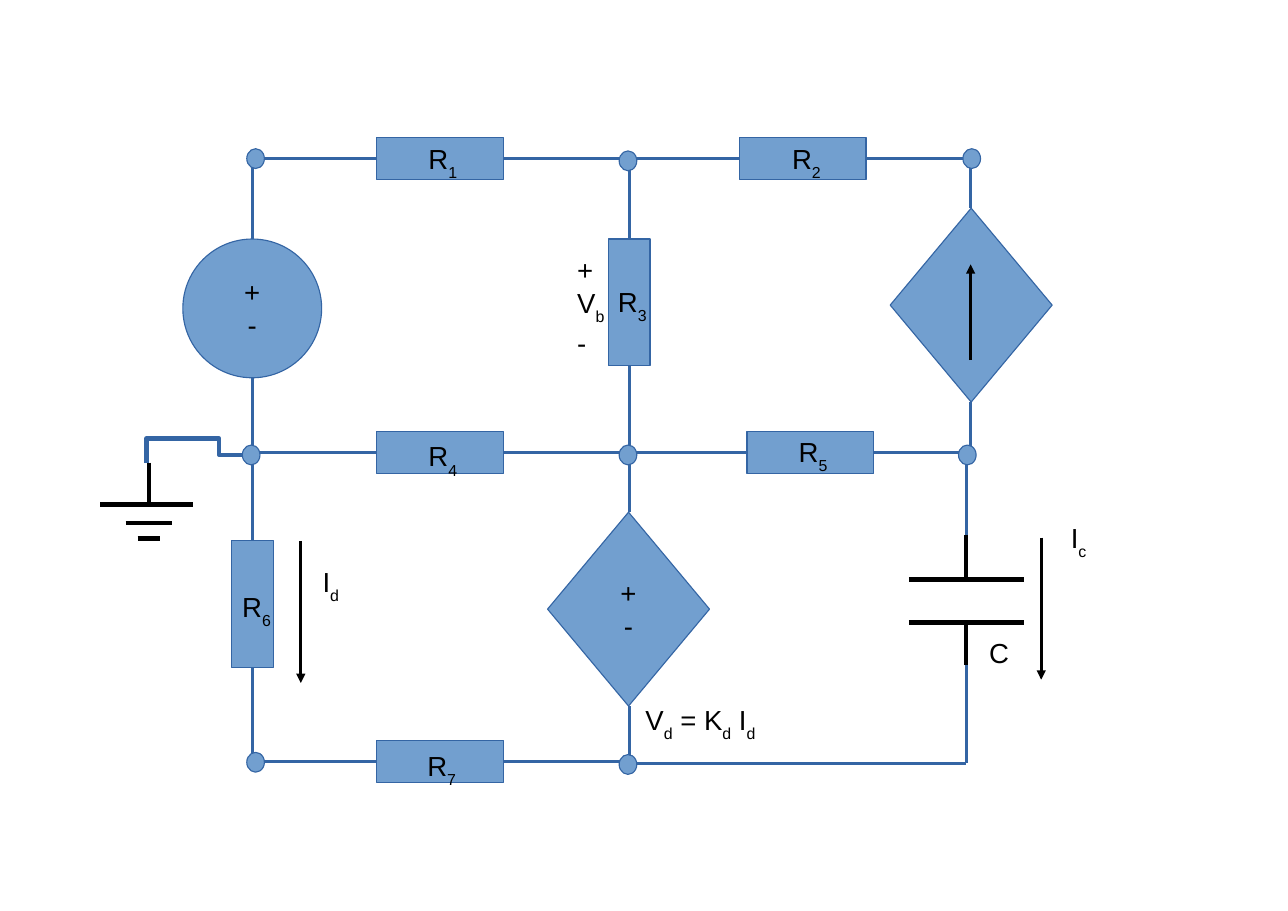
from lxml.etree import SubElement
from pptx import Presentation
from pptx.dml.color import RGBColor
from pptx.enum.shapes import MSO_CONNECTOR, MSO_SHAPE
from pptx.enum.text import MSO_ANCHOR, PP_ALIGN
from pptx.oxml.ns import qn
from pptx.util import Inches, Pt

COLORS = {"fill": "729FCF", "wire": "3465A4", "black": "000000"}
HAIRLINE, THICK = Pt(0), Pt(2.83)

prs = Presentation()
prs.slide_width, prs.slide_height = Inches(11.69), Inches(8.27)
s = prs.slides.add_slide(prs.slide_layouts[6])


def add_line(x1, y1, x2, y2, color="black", width=HAIRLINE, arrow=False):
    """Draw a straight line, with an optional arrowhead at its end."""
    c = s.shapes.add_connector(MSO_CONNECTOR.STRAIGHT, Inches(x1), Inches(y1), Inches(x2), Inches(y2))
    c.line.color.rgb = RGBColor.from_string(COLORS[color])
    c.line.width = width
    if arrow:
        SubElement(c.line._get_or_add_ln(), qn("a:tailEnd"), type="triangle")
    SubElement(c._element.spPr, qn("a:effectLst"))


def add_text(tf, lines, align):
    """Write lines of text; every second piece of a line is a subscript."""
    for i, pieces in enumerate(lines):
        p = tf.paragraphs[0] if i == 0 else tf.add_paragraph()
        p.alignment = align
        for j, piece in enumerate(pieces):
            r = p.add_run()
            r.text = piece
            r.font.name, r.font.size = "Arial", Pt(18)
            r.font.color.rgb = RGBColor.from_string(COLORS["black"])
            if j % 2:
                r.font._element.set("baseline", "-33000")


# Wires: (y, [(x from, x to), ...]) and (x, [(y from, y to), ...])
left, middle, right, cap_x = 2.29, 5.71, 8.81, 8.77
rows = [
    (1.44, [(left, 3.43), (4.57, 6.71), (7.85, right)]),
    (4.11, [(left, 3.43), (4.57, 6.78), (7.92, cap_x)]),
    (6.91, [(left, 3.43), (4.57, middle)]),
    (6.93, [(middle, cap_x)]),
]
columns = [
    (left, [(1.44, 2.17), (3.43, 4.91), (6.05, 6.91)]),
    (middle, [(1.44, 2.17), (3.32, 4.65), (6.41, 6.93)]),
    (right, [(1.44, 1.89), (3.65, 4.12)]),
    (cap_x, [(4.12, 4.86), (6.04, 6.93)]),
]
for y, spans in rows:
    for x1, x2 in spans:
        add_line(x1, y, x2, y, "wire")
for x, spans in columns:
    for y1, y2 in spans:
        add_line(x, y1, x, y2, "wire")

# Lead from the left middle node to ground
fb = s.shapes.build_freeform(Inches(2.2), Inches(4.13), scale=1)
lead = [(1.99, 4.13), (1.99, 3.98), (1.33, 3.98), (1.33, 4.2)]
fb.add_line_segments([(Inches(x), Inches(y)) for x, y in lead], close=False)
sp = fb.convert_to_shape()
sp.shadow.inherit = False
sp.fill.background()
sp.line.color.rgb = RGBColor.from_string(COLORS["wire"])
sp.line.width = THICK

# Filled symbols: shape, left, top, width, height, text lines
horizontal, vertical = (1.15, 0.38), (0.38, 1.15)
polarity = [["+"], ["-"]]
symbols = [
    (MSO_SHAPE.OVAL, 1.66, 2.17, 1.26, 1.26, polarity),
    (MSO_SHAPE.DIAMOND, 8.08, 1.89, 1.47, 1.76, []),
    (MSO_SHAPE.DIAMOND, 4.97, 4.65, 1.47, 1.76, polarity),
]
resistors = [
    (3.42, 1.25, horizontal), (6.71, 1.25, horizontal), (5.52, 2.17, vertical),
    (3.42, 3.92, horizontal), (6.78, 3.92, horizontal), (2.1, 4.91, vertical),
    (3.42, 6.72, horizontal),
]
symbols += [(MSO_SHAPE.RECTANGLE, x, y, *size, []) for x, y, size in resistors]
nodes = [
    (2.24, 1.35), (5.62, 1.37), (8.74, 1.35),
    (2.2, 4.04), (5.62, 4.04), (8.7, 4.04),
    (2.24, 6.83), (5.62, 6.85),
]
symbols += [(MSO_SHAPE.OVAL, x, y, 0.16, 0.18, []) for x, y in nodes]
for kind, x, y, w, h, lines in symbols:
    sp = s.shapes.add_shape(kind, Inches(x), Inches(y), Inches(w), Inches(h))
    sp.shadow.inherit = False
    sp.fill.solid()
    sp.fill.fore_color.rgb = RGBColor.from_string(COLORS["fill"])
    sp.line.color.rgb = RGBColor.from_string(COLORS["wire"])
    sp.line.width = HAIRLINE
    sp.text_frame.word_wrap = False
    sp.text_frame.vertical_anchor = MSO_ANCHOR.MIDDLE
    add_text(sp.text_frame, lines, PP_ALIGN.CENTER)

# Current arrows: inside the current source, Id and Ic
for x, y1, y2 in [(right, 3.27, 2.4), (2.73, 4.91, 6.2), (9.45, 4.88, 6.17)]:
    add_line(x, y1, x, y2, arrow=True)

# Capacitor and ground symbols
thick_lines = [
    (cap_x, 4.86, cap_x, 5.26), (8.25, 5.26, 9.29, 5.26),
    (8.25, 5.65, 9.29, 5.65), (cap_x, 5.65, cap_x, 6.04),
    (1.35, 4.2, 1.35, 4.57), (0.91, 4.58, 1.75, 4.58),
    (1.14, 4.75, 1.56, 4.75), (1.25, 4.89, 1.45, 4.89),
]
for ends in thick_lines:
    add_line(*ends, width=THICK)

# Labels: left, top, width, height, text lines
labels = [
    (3.79, 1.24, 0.51, 0.44, [["R", "1"]]),
    (7.09, 1.24, 0.59, 0.44, [["R", "2"]]),
    (5.51, 2.54, 0.46, 0.46, [["R", "3"]]),
    (3.79, 3.94, 0.54, 0.44, [["R", "4"]]),
    (7.15, 3.9, 0.55, 0.45, [["R", "5"]]),
    (2.1, 5.31, 0.8, 0.76, [["R", "6"]]),
    (3.78, 6.75, 0.53, 0.44, [["R", "7"]]),
    (5.14, 2.25, 0.45, 1, [["+"], ["V", "b"], ["-"]]),
    (5.76, 6.33, 2.2, 0.76, [["V", "d", " = K", "d", " I", "d"]]),
    (2.83, 5.08, 1.26, 1.25, [["I", "d"]]),
    (9.62, 4.68, 1.48, 0.76, [["I", "c"]]),
    (8.88, 5.72, 0.49, 0.42, [["C"]]),
]
for x, y, w, h, lines in labels:
    tf = s.shapes.add_textbox(Inches(x), Inches(y), Inches(w), Inches(h)).text_frame
    tf.word_wrap = True
    tf.margin_right = 0
    add_text(tf, lines, PP_ALIGN.LEFT)

prs.save("out.pptx")
